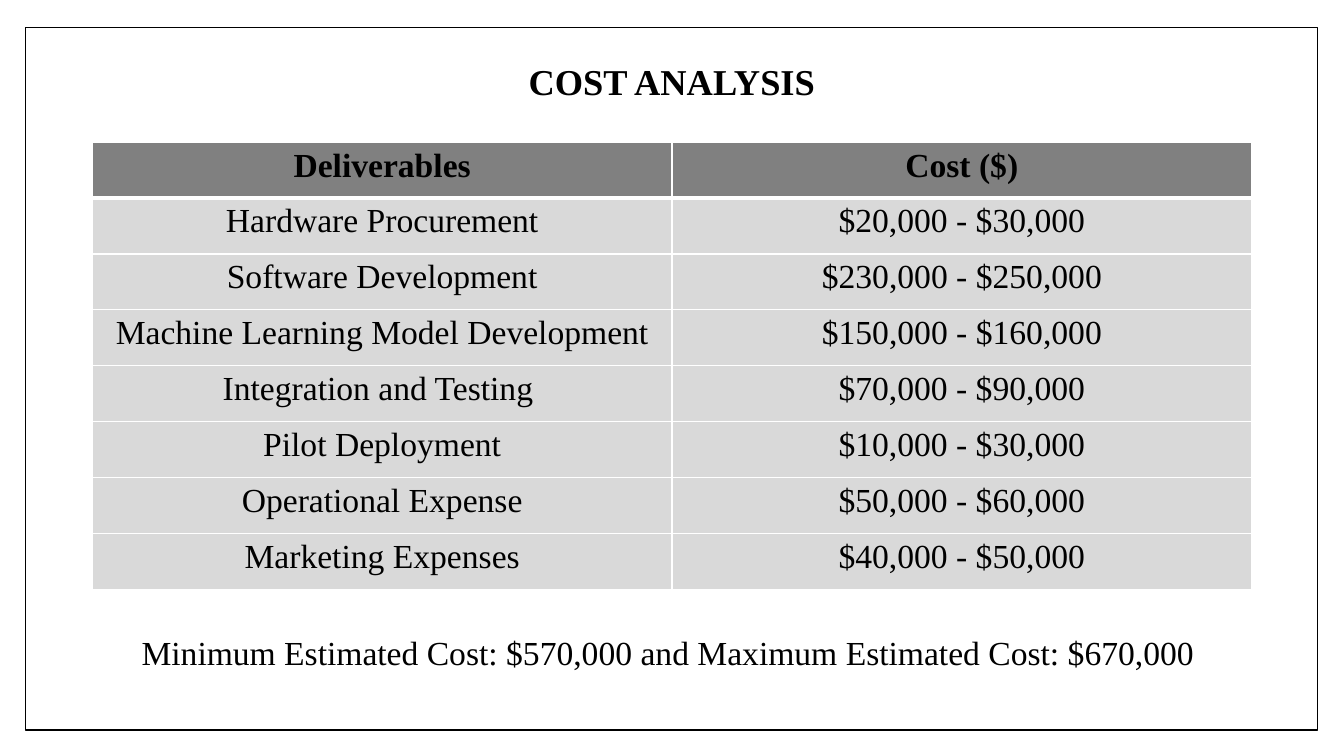
import dataclasses

import lxml.etree
import pptx
import pptx.dml.color
import pptx.enum.shapes
import pptx.enum.text
import pptx.oxml.ns
import pptx.util

Pt = pptx.util.Pt
Align = pptx.enum.text.PP_ALIGN
Anchor = pptx.enum.text.MSO_ANCHOR


@dataclasses.dataclass(frozen=True)
class Theme:
    font: str = "Times New Roman"
    ink: str = "000000"
    paper: str = "FFFFFF"
    header: str = "808080"
    body: str = "D9D9D9"
    title_size: int = 26
    text_size: int = 24


COSTS = [
    ("Deliverables", "Cost ($)"),
    ("Hardware Procurement", "$20,000 - $30,000"),
    ("Software Development", "$230,000 - $250,000"),
    ("Machine Learning Model Development", "$150,000 - $160,000"),
    ("Integration and Testing ", "$70,000 - $90,000"),
    ("Pilot Deployment", "$10,000 - $30,000"),
    ("Operational Expense", "$50,000 - $60,000"),
    ("Marketing Expenses", "$40,000 - $50,000"),
]


def paint(fill, color):
    fill.solid()
    fill.fore_color.rgb = pptx.dml.color.RGBColor.from_string(color)


def write(frame, text, *, font, size, color, bold=False, align=Align.LEFT, spacing=1.0):
    para = frame.paragraphs[0]
    para.alignment = align
    para.line_spacing = spacing
    span = para.add_run()
    span.text = text
    span.font.name = font
    span.font.size = Pt(size)
    span.font.bold = bold
    paint(span.font.fill, color)


def add_border(cell, side, color, width):
    """Draw one cell edge; side is L, R, T or B. Call in that order, before the fill."""
    qn = pptx.oxml.ns.qn
    properties = cell._tc.get_or_add_tcPr()
    line = lxml.etree.SubElement(properties, qn(f"a:ln{side}"), w=str(Pt(width)))
    solid = lxml.etree.SubElement(line, qn("a:solidFill"))
    lxml.etree.SubElement(solid, qn("a:srgbClr"), val=color)


class SlideBuilder:
    def __init__(self, slide, theme):
        self.slide = slide
        self.theme = theme

    def frame(self, left, top, width, height):
        shape = self.slide.shapes.add_shape(
            pptx.enum.shapes.MSO_SHAPE.RECTANGLE,
            Pt(left), Pt(top), Pt(width), Pt(height))
        shape.shadow.inherit = False
        paint(shape.fill, self.theme.paper)
        paint(shape.line.fill, self.theme.ink)
        shape.line.width = Pt(1)

    def text(self, text, left, top, width, height, *, anchor=Anchor.TOP, **style):
        box = self.slide.shapes.add_textbox(Pt(left), Pt(top), Pt(width), Pt(height))
        box.text_frame.word_wrap = True
        box.text_frame.vertical_anchor = anchor
        write(box.text_frame, text, font=self.theme.font, color=self.theme.ink, **style)

    def table(self, rows, left, top, width, height):
        """Add a table whose first row is the header, with equal rows and columns."""
        theme = self.theme
        table = self.slide.shapes.add_table(
            len(rows), len(rows[0]), Pt(left), Pt(top), Pt(width), Pt(height)).table
        for row_index, row in enumerate(rows):
            is_header = row_index == 0
            edges = {"L": 1, "R": 1, "T": 3 if row_index == 1 else 1, "B": 3 if is_header else 1}
            for column_index, text in enumerate(row):
                cell = table.cell(row_index, column_index)
                for side, line_width in edges.items():
                    add_border(cell, side, theme.paper, line_width)
                paint(cell.fill, theme.header if is_header else theme.body)
                write(cell.text_frame, text, font=theme.font, size=theme.text_size,
                      color=theme.ink, bold=is_header, align=Align.CENTER)


def main():
    deck = pptx.Presentation()
    deck.slide_width, deck.slide_height = Pt(960), Pt(540)
    theme = Theme()
    page = SlideBuilder(deck.slides.add_slide(deck.slide_layouts[6]), theme)

    page.frame(18, 19.5, 923, 502)
    page.text("COST ANALYSIS", 66, 45, 828, 29, size=theme.title_size, bold=True,
              align=Align.CENTER, anchor=Anchor.MIDDLE, spacing=0.9)
    page.table(COSTS, 66, 101.5, 828, 319.6)
    page.text("Minimum Estimated Cost: $570,000 and Maximum Estimated Cost: $670,000",
              94, 448, 771, 36, size=theme.text_size)
    deck.save("out.pptx")


if __name__ == "__main__":
    main()
